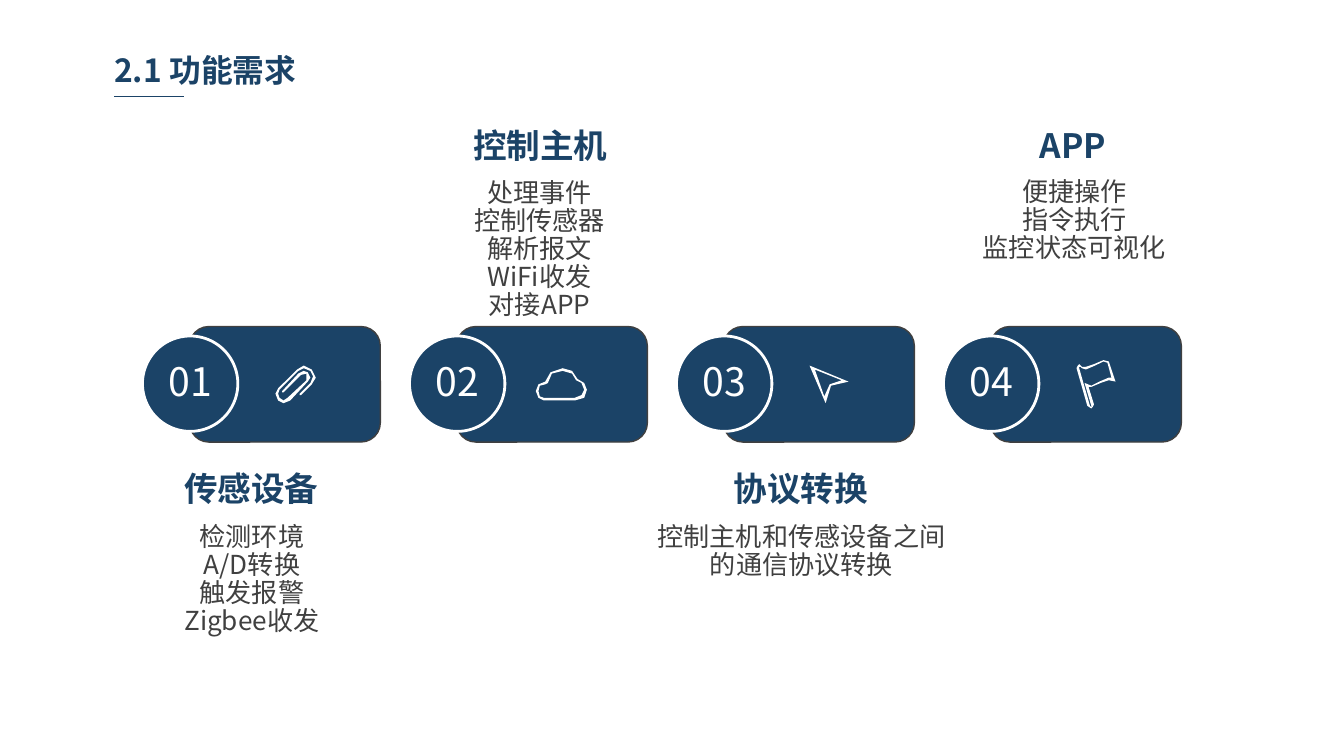
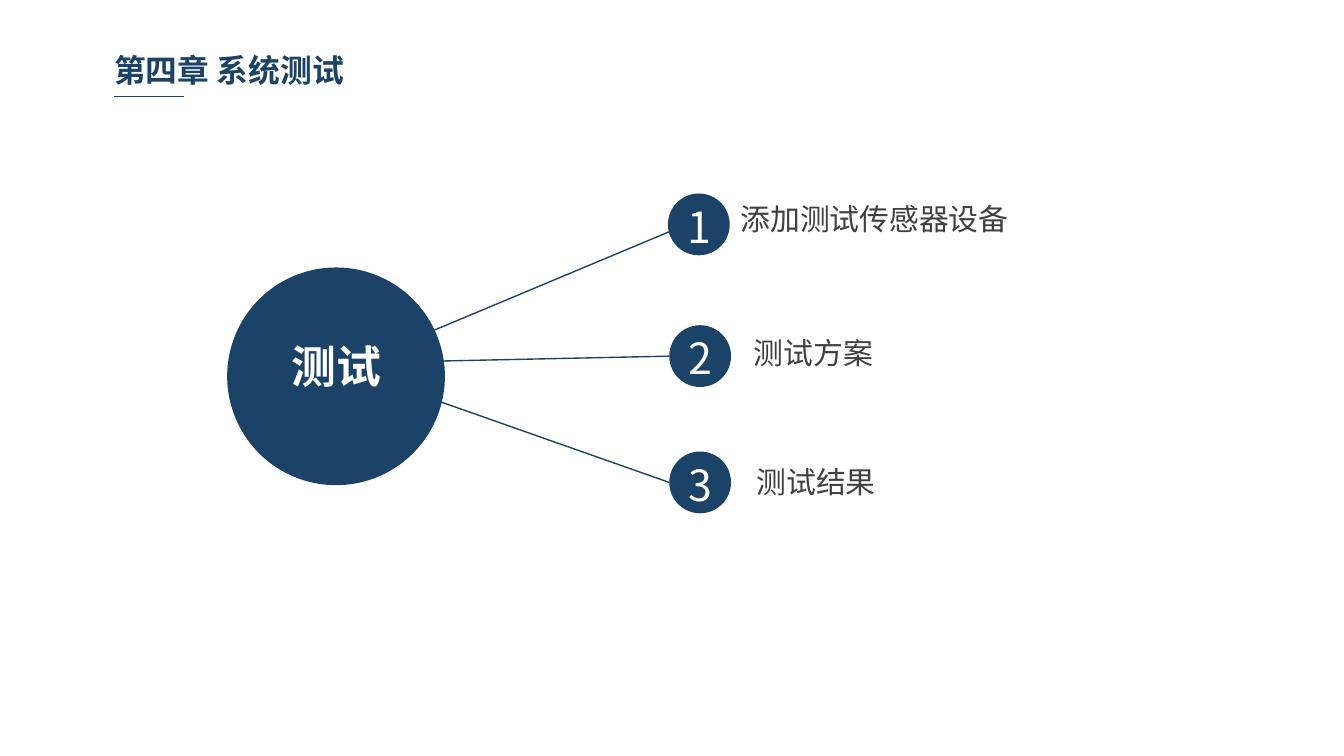
import pptx
import pptx.dml.color
import pptx.enum.shapes
import pptx.enum.text
import pptx.oxml.ns
import pptx.util
import lxml.etree

inch = pptx.util.Inches
rgb = pptx.dml.color.RGBColor.from_string
qn = pptx.oxml.ns.qn
KIND = pptx.enum.shapes.MSO_SHAPE
ALIGN = pptx.enum.text.PP_ALIGN

FONT = "Noto Sans CJK SC"
NAVY, GREY, WHITE = "1B4367", "404040", "FFFFFF"
SLIM = (0.07, 0.04)
WIDE = (0.1, 0.05)


def draw(slide, kind, box, edge=None, width=0.75):
    """Add a navy shape, with an outline only if edge is given."""
    shape = slide.shapes.add_shape(kind, *map(inch, box))
    shape.shadow.inherit = False
    shape.fill.solid()
    shape.fill.fore_color.rgb = rgb(NAVY)
    if edge:
        shape.line.color.rgb = rgb(edge)
        shape.line.width = pptx.util.Pt(width)
    else:
        shape.line.fill.background()
    return shape


def write(shape, text, size, hue, bold=False, align=ALIGN.CENTER,
          pad=SLIM, lead=None, wrap=True):
    """Fill a shape with text, one paragraph a line."""
    frame = shape.text_frame
    frame.text = text
    frame.word_wrap = wrap
    frame.margin_left = frame.margin_right = inch(pad[0])
    frame.margin_top = frame.margin_bottom = inch(pad[1])
    for para in frame.paragraphs:
        para.alignment = align
        if lead:
            para.line_spacing = lead
        for run in para.runs:
            run.font.size = pptx.util.Pt(size)
            run.font.bold = bold
            run.font.color.rgb = rgb(hue)
            run.font.name = FONT
            east = lxml.etree.SubElement(run._r.get_or_add_rPr(), qn("a:ea"))
            east.set("typeface", FONT)


deck = pptx.Presentation()
deck.slide_width = inch(10)
deck.slide_height = deck.slide_width * 9 // 16

# Both slides: title, rule below it, and any further lines
rule = (0.85, 0.72, 1.37, 0.72)
spokes = [(2.65, 2.7, 5.11, 1.67), (2.64, 2.7, 4.98, 2.65), (2.71, 2.79, 4.98, 3.59)]
pages = []
for title, lines in [("2.1 功能需求", [rule]), ("第四章 系统测试", [rule] + spokes)]:
    slide = deck.slides.add_slide(deck.slide_layouts[6])
    head = slide.shapes.add_textbox(*map(inch, (0.78, 0.34, 2.47, 0.36)))
    write(head, title, 17, NAVY, bold=True, align=ALIGN.LEFT)
    for ends in lines:
        link = slide.shapes.add_connector(
            pptx.enum.shapes.MSO_CONNECTOR.STRAIGHT, *map(inch, ends))
        link.line.color.rgb = rgb(NAVY)
        link.line.width = pptx.util.Pt(0.75)
        lxml.etree.SubElement(link._element.spPr, qn("a:effectLst"))
    pages.append(slide)
needs, tests = pages

# Icon outlines, in hundredths of an inch from the card's corner
clip = [[(91, 32), (85, 29), (80, 32), (66, 46), (64, 50), (66, 55), (70, 57),
         (75, 55), (88, 41), (90, 38), (88, 34), (85, 33), (81, 35), (69, 48),
         (69, 49), (70, 49), (83, 36), (87, 35), (87, 40), (73, 53), (70, 55),
         (67, 53), (66, 50), (67, 47), (81, 33), (85, 31), (90, 33), (92, 37),
         (90, 42), (82, 50), (82, 51), (83, 51), (91, 43), (94, 38)]]
cloud = [[(88, 55), (65, 55), (61, 53), (59, 48), (61, 43), (66, 41), (70, 34),
          (79, 31), (86, 33), (90, 39), (95, 42), (97, 47), (95, 53)],
         [(65, 53), (88, 53), (93, 51), (95, 47), (93, 42), (89, 40), (86, 35),
          (79, 33), (71, 35), (68, 42), (66, 43), (62, 44), (61, 48), (62, 52)]]
arrow = [[(76, 57), (64, 29), (93, 41), (80, 44)],
         [(68, 32), (75, 52), (79, 43), (88, 40)]]
flag = [[(75, 61), (72, 59), (64, 31), (65, 29), (66, 28), (68, 30), (71, 30),
         (77, 28), (84, 25), (88, 26), (93, 41), (88, 40), (82, 42), (75, 45),
         (73, 45), (77, 58), (76, 60)],
        [(66, 30), (66, 31), (74, 59), (75, 60), (75, 59), (70, 42), (75, 44),
         (81, 41), (88, 38), (90, 38), (87, 27), (84, 26), (78, 29), (71, 32),
         (68, 31), (67, 30)]]

# Slide 1: name, name's left, width and top, details, their left and top
cards = [
    (clip, "传感设备", 1.29, 1.16, 3.44,
     "检测环境\nA/D转换\n触发报警\nZigbee收发", 0.64, 3.86),
    (cloud, "控制主机", 3.44, 1.16, 0.89,
     "处理事件\n控制传感器\n解析报文\nWiFi收发\n对接APP", 2.78, 1.3),
    (arrow, "协议转换", 5.38, 1.16, 3.44,
     "控制主机和传感设备之间的通信协议转换", 4.73, 3.86),
    (flag, "APP", 7.65, 0.67, 0.89,
     "便捷操作\n指令执行\n监控状态可视化", 6.76, 1.29),
]
step, top = 5.96 / 3, 2.43
for col, (icon, name, left, width, row, text, edge, base) in enumerate(cards):
    x = 1.41 + col * step
    draw(needs, KIND.ROUNDED_RECTANGLE, (x, top, 1.42, 0.86), GREY)
    disc = draw(needs, KIND.OVAL, (x - 0.35, 2.5, 0.71, 0.71), WHITE, 1.5)
    write(disc, f"{col + 1:02}", 21, WHITE, pad=(0.05, 0.05), lead=0.9, wrap=False)
    disc.text_frame.vertical_anchor = pptx.enum.text.MSO_ANCHOR.MIDDLE

    pen = None
    for ring in icon:
        dots = [(inch(x + a / 100), inch(top + b / 100)) for a, b in ring]
        if pen:
            pen.move_to(*dots[0])
        else:
            pen = needs.shapes.build_freeform(*dots[0])
        pen.add_line_segments(dots[1:], close=True)
    sign = pen.convert_to_shape()
    sign.shadow.inherit = False
    sign.fill.solid()
    sign.fill.fore_color.rgb = rgb(WHITE)
    sign.line.fill.background()

    label = needs.shapes.add_textbox(*map(inch, (left, row, width, 0.38)))
    write(label, name, 18, NAVY, bold=True, wrap=False)
    tall = 0.08 + 0.21 * max(2, text.count("\n") + 1)
    note = needs.shapes.add_textbox(*map(inch, (edge, base, 2.47, tall)))
    write(note, text, 14, GREY, lead=pptx.util.Pt(15))

# Slide 2: a hub and three numbered items
items = [(4.97, 1.44, "添加测试传感器设备", 5.44, 1.51),
         (4.98, 2.42, "测试方案", 5.54, 2.51),
         (4.98, 3.36, "测试结果", 5.56, 3.47)]
for num, (x, y, text, left, row) in enumerate(items, 1):
    draw(tests, KIND.OVAL, (x, y, 0.46, 0.46))
    digit = tests.shapes.add_textbox(*map(inch, (x + 0.01, y, 0.45, 0.49)))
    write(digit, str(num), 23, WHITE, pad=WIDE)
    item = tests.shapes.add_textbox(*map(inch, (left, row, 3.4, 0.29)))
    write(item, text, 16, GREY, align=ALIGN.LEFT, lead=pptx.util.Pt(15))

draw(tests, KIND.OVAL, (1.69, 1.99, 1.62, 1.62))
hub = tests.shapes.add_textbox(*map(inch, (1.69, 2.47, 1.62, 0.5)))
write(hub, "测试", 24, WHITE, bold=True, pad=WIDE)

deck.save("out.pptx")
